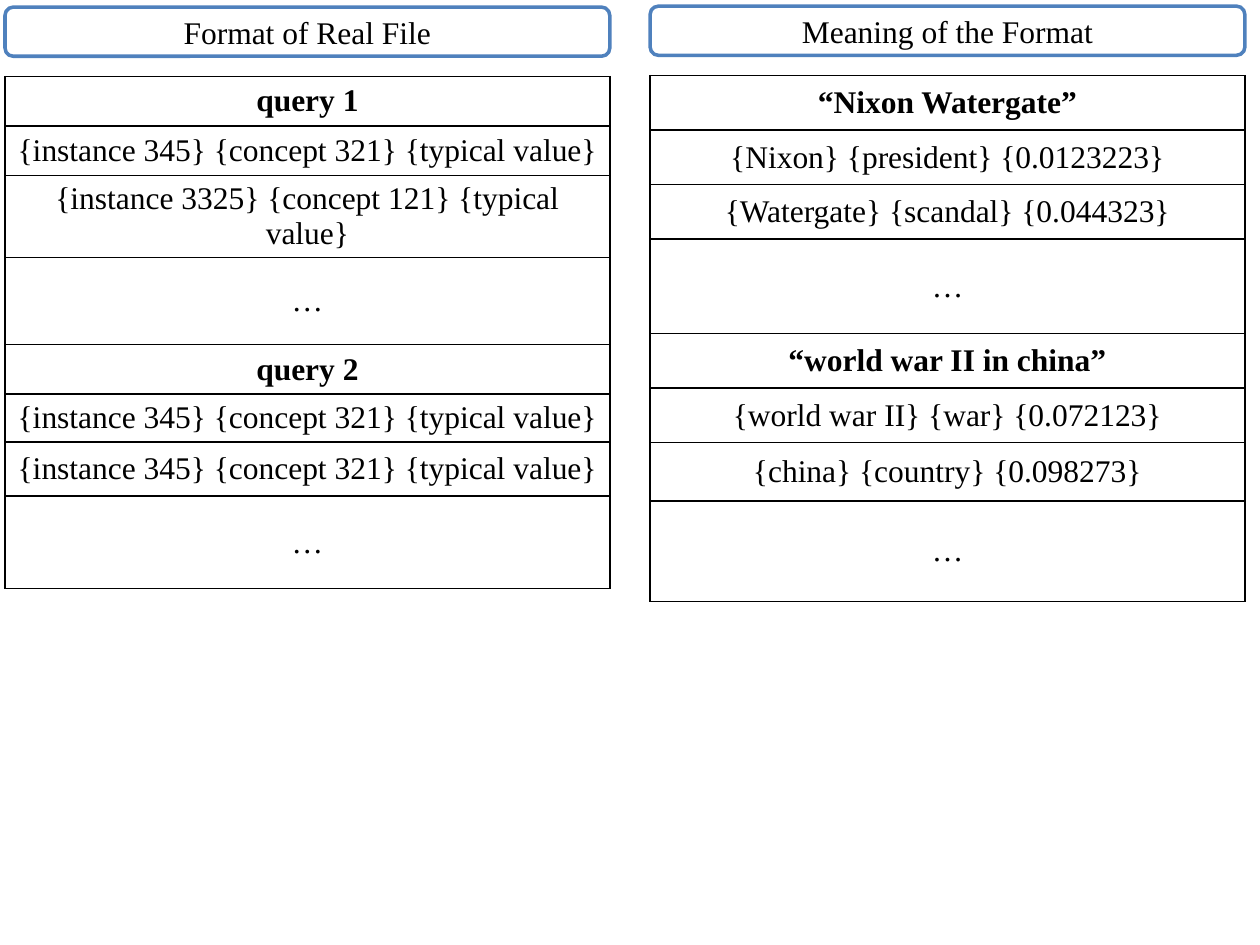
from dataclasses import dataclass

from lxml import etree
from pptx import Presentation
from pptx.dml.color import RGBColor
from pptx.enum import shapes, text
from pptx.oxml import ns
from pptx.slide import Slide
from pptx.table import _Cell
from pptx.text.text import TextFrame
from pptx import util as u

BLACK = RGBColor(0x00, 0x00, 0x00)
WHITE = RGBColor(0xFF, 0xFF, 0xFF)
BLUE = RGBColor(0x4F, 0x81, 0xBD)
FONT = "Times New Roman"
FONT_SIZE = u.Pt(18)
PAGE_WIDTH = u.Inches(10)
PAGE_HEIGHT = u.Inches(7.5)
HEADING_HEIGHT = 5.2
CELL_MARGIN = 0.8
QUERY_ROWS = (0, 4)


@dataclass(frozen=True)
class Panel:
    heading: str
    left: float
    width: float
    heading_top: float
    table_top: float
    row_heights: tuple[float, ...]
    lines: tuple[str, ...]


PANELS = (
    Panel(
        "Format of Real File", 0.4, 48, 0.75, 8.1,
        (5.23, 5.23, 5.23, 9.2, 5.23, 5.1, 5.7, 9.8),
        (
            "query 1",
            "{instance 345} {concept 321} {typical value}",
            "{instance 3325} {concept 121} {typical value}",
            "…",
            "query 2",
            "{instance 345} {concept 321} {typical value}",
            "{instance 345} {concept 321} {typical value}",
            "…",
        ),
    ),
    Panel(
        "Meaning of the Format", 51.6, 47.2, 0.65, 8,
        (5.77, 5.77, 5.77, 10, 5.77, 5.77, 6.15, 10.67),
        (
            "“Nixon Watergate”",
            "{Nixon} {president} {0.0123223}",
            "{Watergate} {scandal} {0.044323}",
            "…",
            "“world war II in china”",
            "{world war II} {war} {0.072123}",
            "{china} {country} {0.098273}",
            "…",
        ),
    ),
)


def across(percent: float) -> u.Emu:
    return u.Emu(round(PAGE_WIDTH * percent / 100))


def down(percent: float) -> u.Emu:
    return u.Emu(round(PAGE_HEIGHT * percent / 100))


def write_centred(frame: TextFrame, words: str, bold: bool = False) -> None:
    para = frame.paragraphs[0]
    para.alignment = text.PP_ALIGN.CENTER
    span = para.add_run()
    span.text = words
    span.font.name = FONT
    span.font.size = FONT_SIZE
    span.font.bold = bold
    span.font.color.rgb = BLACK


def add_borders(cell: _Cell) -> None:
    properties = cell._tc.get_or_add_tcPr()
    for side in ("a:lnL", "a:lnR", "a:lnT", "a:lnB"):
        border = etree.SubElement(properties, ns.qn(side), w=str(u.Pt(1)))
        fill = etree.SubElement(border, ns.qn("a:solidFill"))
        etree.SubElement(fill, ns.qn("a:srgbClr"), val=str(BLACK))


def draw_heading(page: Slide, panel: Panel) -> None:
    box = page.shapes.add_shape(
        shapes.MSO_SHAPE.ROUNDED_RECTANGLE,
        across(panel.left), down(panel.heading_top),
        across(panel.width), down(HEADING_HEIGHT),
    )
    box.shadow.inherit = False
    box.fill.solid()
    box.fill.fore_color.rgb = WHITE
    box.line.color.rgb = BLUE
    box.line.width = u.Pt(2)
    box.text_frame.word_wrap = True
    box.text_frame.vertical_anchor = text.MSO_ANCHOR.MIDDLE
    write_centred(box.text_frame, panel.heading)


def draw_table(page: Slide, panel: Panel) -> None:
    table = page.shapes.add_table(
        len(panel.lines), 1,
        across(panel.left), down(panel.table_top),
        across(panel.width), down(sum(panel.row_heights)),
    ).table
    table.first_row = False
    table.horz_banding = False
    for index, (height, line) in enumerate(zip(panel.row_heights, panel.lines)):
        table.rows[index].height = down(height)
        cell = table.cell(index, 0)
        add_borders(cell)
        cell.fill.background()
        cell.margin_left = cell.margin_right = across(CELL_MARGIN)
        cell.vertical_anchor = text.MSO_ANCHOR.MIDDLE
        write_centred(cell.text_frame, line, bold=index in QUERY_ROWS)


def main() -> None:
    deck = Presentation()
    deck.slide_width = PAGE_WIDTH
    deck.slide_height = PAGE_HEIGHT
    page = deck.slides.add_slide(deck.slide_layouts[6])
    for panel in PANELS:
        draw_table(page, panel)
        draw_heading(page, panel)
    deck.save("out.pptx")


if __name__ == "__main__":
    main()
